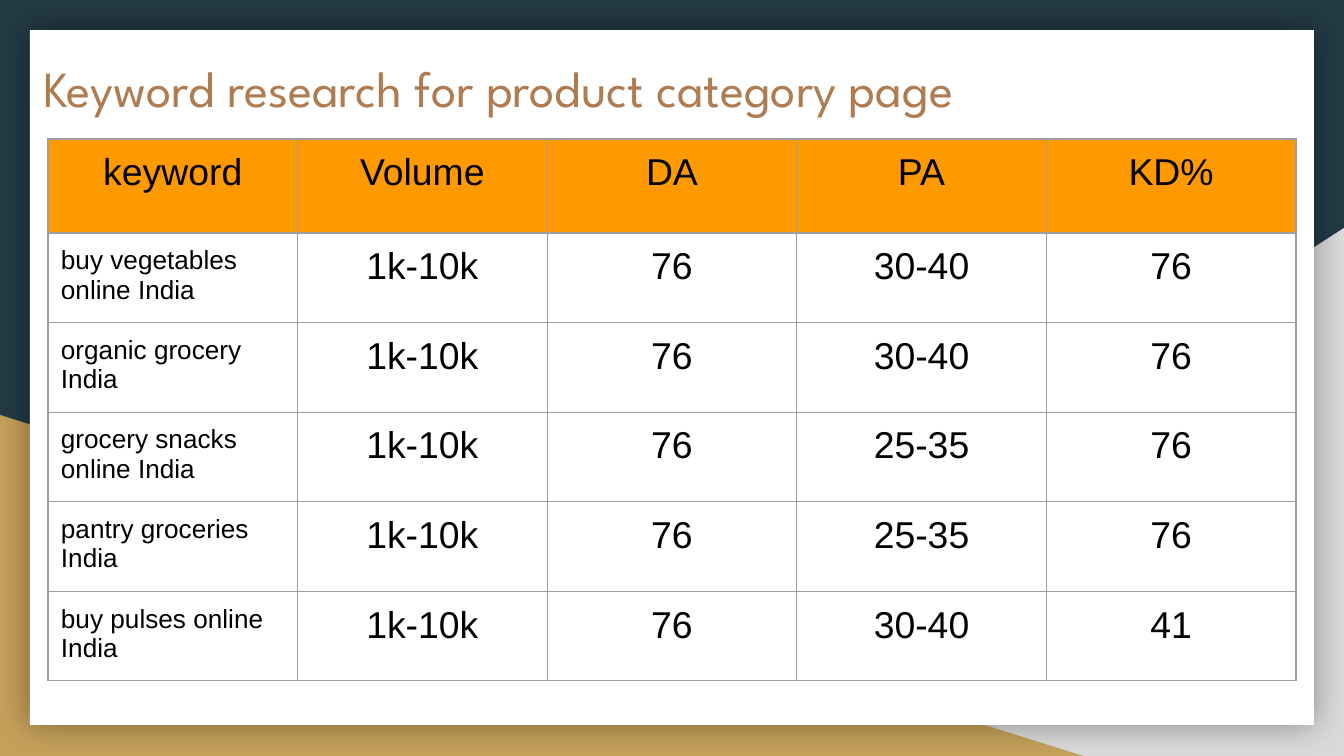
from dataclasses import dataclass

from lxml.etree import SubElement
from pptx import Presentation
from pptx.dml.color import RGBColor
from pptx.enum.shapes import MSO_SHAPE
from pptx.enum.text import MSO_ANCHOR, PP_ALIGN
from pptx.oxml.ns import qn
from pptx.util import Emu, Pt

PIXELS_PER_INCH = 134.4


def px(length):
    return Emu(round(length * 914400 / PIXELS_PER_INCH))


@dataclass(frozen=True)
class Theme:
    background: str = "233A44"
    grey: str = "D9D9D9"
    gold: str = "C4A15A"
    white: str = "FFFFFF"
    black: str = "000000"
    title: str = "AF7B51"
    header: str = "FF9900"
    border: str = "9E9E9E"
    title_font: str = "League Spartan"
    table_font: str = "Arial"
    title_size: int = 27
    value_size: int = 20
    keyword_size: int = 14
    border_width: float = 0.75
    inset: int = 13


class SlideBuilder:
    def __init__(self, slide, theme):
        self.slide = slide
        self.theme = theme
        self.fill(slide.background, theme.background)

    def fill(self, target, color):
        target.fill.solid()
        target.fill.fore_color.rgb = RGBColor.from_string(color)

    def format_text(self, paragraph, font_name, size, color):
        paragraph.font.name = font_name
        paragraph.font.size = Pt(size)
        paragraph.font.color.rgb = RGBColor.from_string(color)

    def shape(self, kind, left, top, width, height, color):
        shape = self.slide.shapes.add_shape(
            kind, px(left), px(top), px(width), px(height))
        shape.shadow.inherit = False
        self.fill(shape, color)
        shape.line.fill.background()
        return shape

    def flip_horizontally(self, shape):
        shape.element.spPr.find(qn("a:xfrm")).set("flipH", "1")

    def soft_shadow(self, shape, blur, opacity):
        """Add a centred shadow; blur in points, opacity in percent."""
        effects = shape.element.spPr.find(qn("a:effectLst"))
        shadow = SubElement(effects, qn("a:outerShdw"),
                            blurRad=str(Pt(blur)), dist="0", algn="ctr", rotWithShape="0")
        color = SubElement(shadow, qn("a:srgbClr"), val=self.theme.black)
        SubElement(color, qn("a:alpha"), val=str(opacity * 1000))

    def title(self, text, left, top, width, height):
        title = self.slide.shapes.title
        title.left, title.top, title.width, title.height = map(px, (left, top, width, height))
        frame = title.text_frame
        frame.text = text
        frame.word_wrap = True
        frame.vertical_anchor = MSO_ANCHOR.MIDDLE
        inset = px(self.theme.inset)
        frame.margin_left = frame.margin_right = frame.margin_top = frame.margin_bottom = inset
        paragraph = frame.paragraphs[0]
        paragraph.alignment = PP_ALIGN.LEFT
        self.format_text(paragraph, self.theme.title_font, self.theme.title_size,
                         self.theme.title)
        # The placeholder comes first in the tree; bring it in front of the panel.
        title.element.getparent().append(title.element)

    def table(self, rows, left, top, width, header_height, body_height):
        """Draw a header row and equal body rows sharing body_height."""
        table = self.slide.shapes.add_table(
            len(rows), len(rows[0]), px(left), px(top), px(width),
            px(header_height + body_height)).table
        for row_index, values in enumerate(rows):
            is_header = row_index == 0
            table.rows[row_index].height = px(
                header_height if is_header else body_height / (len(rows) - 1))
            for column_index, value in enumerate(values):
                is_keyword = column_index == 0 and not is_header
                self.cell(table.cell(row_index, column_index), value, is_header, is_keyword)

    def cell(self, cell, text, is_header, is_keyword):
        theme = self.theme
        cell.text = text
        inset = px(theme.inset)
        cell.margin_left = cell.margin_right = cell.margin_top = cell.margin_bottom = inset
        paragraph = cell.text_frame.paragraphs[0]
        paragraph.alignment = PP_ALIGN.LEFT if is_keyword else PP_ALIGN.CENTER
        size = theme.keyword_size if is_keyword else theme.value_size
        self.format_text(paragraph, theme.table_font, size, theme.black)
        self.cell_borders(cell)
        self.fill(cell, theme.header if is_header else theme.white)

    def cell_borders(self, cell):
        properties = cell._tc.get_or_add_tcPr()
        for side in ("L", "R", "T", "B"):
            line = SubElement(properties, qn(f"a:ln{side}"),
                              w=str(Pt(self.theme.border_width)))
            solid = SubElement(line, qn("a:solidFill"))
            SubElement(solid, qn("a:srgbClr"), val=self.theme.border)


KEYWORD_ROWS = [
    ("keyword", "Volume", "DA", "PA", "KD%"),
    ("buy vegetables online India", "1k-10k", "76", "30-40", "76"),
    ("organic grocery India", "1k-10k", "76", "30-40", "76"),
    ("grocery snacks online India", "1k-10k", "76", "25-35", "76"),
    ("pantry groceries India", "1k-10k", "76", "25-35", "76"),
    ("buy pulses online India", "1k-10k", "76", "30-40", "41"),
]


def main():
    presentation = Presentation()
    presentation.slide_width, presentation.slide_height = px(1344), px(756)
    title_only = presentation.slide_layouts[5]
    theme = Theme()
    builder = SlideBuilder(presentation.slides.add_slide(title_only), theme)

    grey_corner = builder.shape(MSO_SHAPE.RIGHT_TRIANGLE, 527, 228, 817, 528, theme.grey)
    builder.flip_horizontally(grey_corner)
    builder.shape(MSO_SHAPE.RIGHT_TRIANGLE, 0, 415, 1083, 341, theme.gold)
    panel = builder.shape(MSO_SHAPE.RECTANGLE, 30, 30, 1284, 695, theme.white)
    builder.soft_shadow(panel, blur=18, opacity=40)

    builder.title("Keyword research for product category page", 30, 34, 1103, 106)
    builder.table(KEYWORD_ROWS, 48, 139, 1248, header_height=94, body_height=448)
    presentation.save("out.pptx")


if __name__ == "__main__":
    main()
